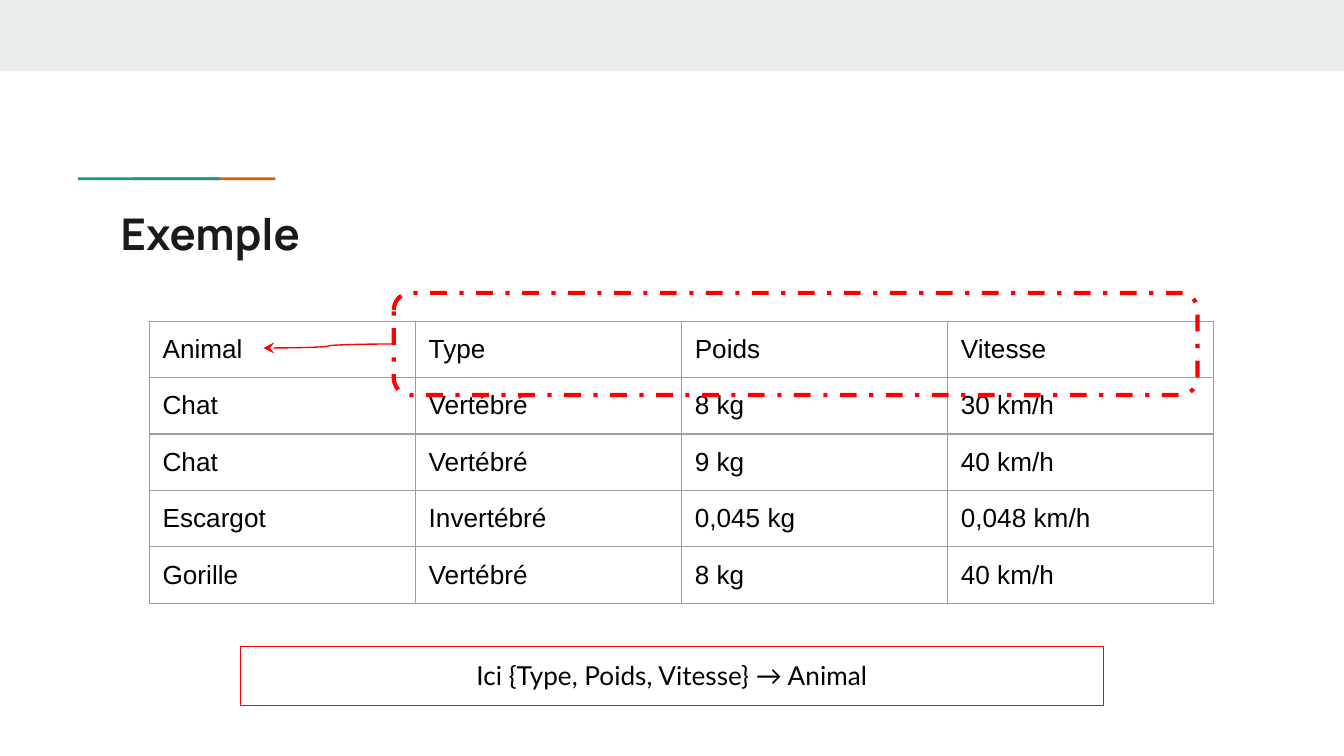
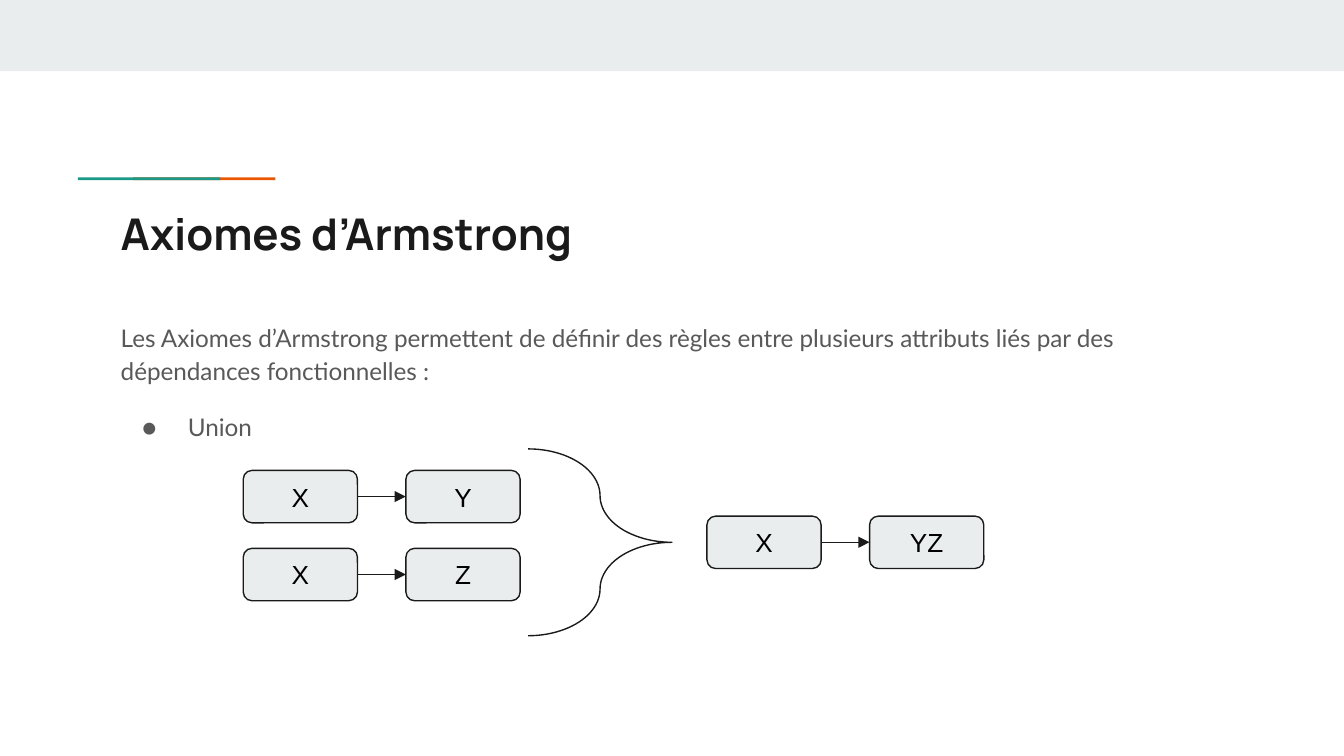
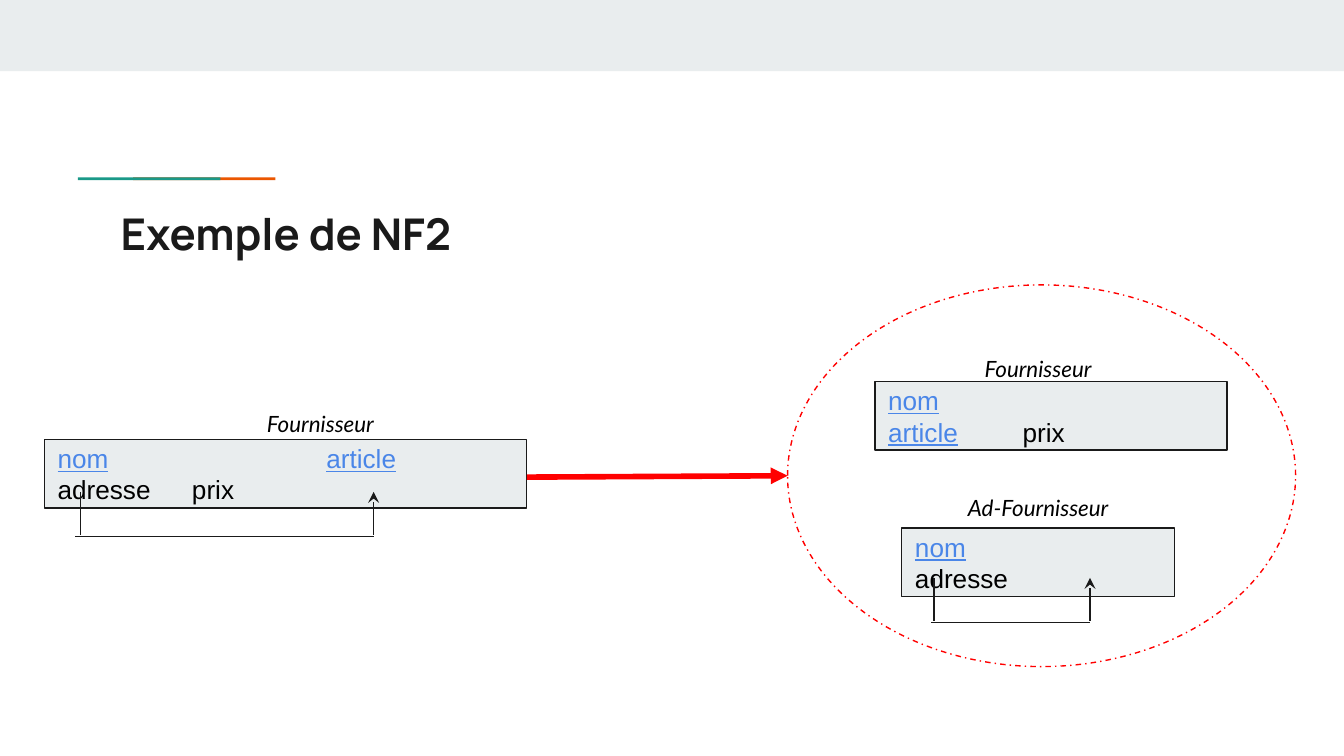
from lxml.etree import SubElement
from pptx import Presentation
from pptx.dml.color import RGBColor
from pptx.enum.dml import MSO_LINE
from pptx.enum.shapes import MSO_CONNECTOR, MSO_SHAPE
from pptx.enum.text import MSO_ANCHOR, PP_ALIGN
from pptx.oxml.ns import qn
from pptx.util import Inches, Pt

PALE, INK, GREY, RULE = "E9EDEE", "1A1A1A", "595959", "9E9E9E"
TEAL, ORANGE, RED, BLUE, BLACK = "1A9988", "EB5600", "FF0000", "4A86E8", "000000"


def color(code):
    return RGBColor.from_string(code)


def inch(*sizes):
    return [Inches(size) for size in sizes]


def pad(item, bottom=0.1):
    item.margin_left = item.margin_right = item.margin_top = Inches(0.1)
    item.margin_bottom = Inches(bottom)


class Deck:
    def __init__(self):
        self.file = Presentation()
        self.file.slide_width, self.file.slide_height = inch(10, 10 * 9 / 16)
        self.slide = None

    def page(self, title):
        self.slide = self.file.slides.add_slide(self.file.slide_layouts[6])
        self.shape((0, 0, 10, 0.53), fill=PALE, line=None)
        for left, fill in ((0.99, ORANGE), (0.58, TEAL)):
            self.shape((left, 1.32, 1.06, 0.02), fill=fill, line=None)
        self.text((0.8, 1.44, 8.41, 0.59), title, size=23.4, font="Manrope", tone=INK, bold=True)

    def run(self, para, words, size=14, font="Arial", tone=BLACK, **marks):
        run = para.add_run()
        run.text = words
        run.font.size, run.font.name = Pt(size), font
        run.font.color.rgb = color(tone)
        for mark, value in marks.items():
            setattr(run.font, mark, value)

    def frame(self, shape, middle=False):
        frame = shape.text_frame
        frame.word_wrap = True
        frame.vertical_anchor = MSO_ANCHOR.MIDDLE if middle else MSO_ANCHOR.TOP
        pad(frame)
        return frame

    def stroke(self, line, tone, width, dash):
        line.color.rgb = color(tone)
        line.width = Pt(width)
        if dash:
            line.dash_style = MSO_LINE.DASH_DOT

    def shape(self, box, kind=MSO_SHAPE.RECTANGLE, fill=None, line=INK, width=0.75, dash=False):
        shape = self.slide.shapes.add_shape(kind, *inch(*box))
        shape.shadow.inherit = False
        if fill:
            shape.fill.solid()
            shape.fill.fore_color.rgb = color(fill)
        else:
            shape.fill.background()
        if line:
            self.stroke(shape.line, line, width, dash)
        else:
            shape.line.fill.background()
        return shape

    def text(self, box, words, align=PP_ALIGN.LEFT, **style):
        frame = self.frame(self.slide.shapes.add_textbox(*inch(*box)))
        para = frame.paragraphs[0]
        para.alignment = align
        self.run(para, words, **style)
        return frame

    def label(self, shape, *runs, align=PP_ALIGN.CENTER, middle=True):
        para = self.frame(shape, middle).paragraphs[0]
        para.alignment = align
        para._p.get_or_add_pPr().set("defTabSz", str(Inches(1)))
        for words, style in runs:
            self.run(para, words, **style)

    def line(self, start, end, tip=None, tone=INK, width=0.75, kind=MSO_CONNECTOR.STRAIGHT):
        link = self.slide.shapes.add_connector(kind, *inch(*start, *end))
        self.stroke(link.line, tone, width, False)
        if tip:
            SubElement(link.line._get_or_add_ln(), qn("a:tailEnd"), type=tip)
        SubElement(link._element.spPr, qn("a:effectLst"))

    def bullet(self, frame, words, **style):
        para = frame.add_paragraph()
        para.space_before = Pt(12)
        props = para._p.get_or_add_pPr()
        props.set("marL", str(Inches(0.5)))
        props.set("indent", str(Inches(-0.34)))
        tint = SubElement(props, qn("a:buClr"))
        SubElement(tint, qn("a:srgbClr"), val=style["tone"])
        SubElement(props, qn("a:buSzPts"), val=str(style["size"] * 100))
        SubElement(props, qn("a:buFont"), typeface=style["font"])
        SubElement(props, qn("a:buChar"), char="●")
        self.run(para, words, **style)

    def table(self, box, high, rows):
        frame = self.slide.shapes.add_table(len(rows), len(rows[0]), *inch(*box))
        table = frame.table
        table.first_row = table.horz_banding = False
        for r, row in enumerate(rows):
            table.rows[r].height = Inches(high)
            for c, words in enumerate(row):
                cell = table.cell(r, c)
                pad(cell, 0.08)
                self.run(cell.text_frame.paragraphs[0], words)
                self.edge(cell)
                cell.fill.background()
        frame.height = Inches(box[3])

    def edge(self, cell):
        props = cell._tc.get_or_add_tcPr()
        for side in "LRTB":
            line = SubElement(props, qn(f"a:ln{side}"), w=str(Pt(0.75)))
            fill = SubElement(line, qn("a:solidFill"))
            SubElement(fill, qn("a:srgbClr"), val=RULE)

    def pair(self, left, top, first, second):
        wide, high, step = 0.85, 0.39, 1.21
        for i, words in enumerate((first, second)):
            box = (left + i * step, top, wide, high)
            self.label(self.shape(box, MSO_SHAPE.ROUNDED_RECTANGLE, PALE), (words, {}))
        mid = top + high / 2
        self.line((left + wide, mid), (left + step, mid), "triangle")

    def entity(self, box, name, spot, keys, rest):
        self.label(self.shape(box, fill=PALE), (keys, {"tone": BLUE, "underline": True}),
                   (rest, {}), align=PP_ALIGN.LEFT)
        self.text(spot, name, PP_ALIGN.CENTER, size=12, font="Lato", italic=True)

    def hook(self, edge, left, right, top, base):
        self.line((left, top), (left, base - 0.01))
        self.line((edge, base), (right, base))
        self.line((right, base - 0.01), (right, top), "stealth")


def sample(deck):
    deck.page("Exemple")
    deck.table((1.11, 2.39, 7.92, 2.17), 0.42, (
        ("Animal", "Type", "Poids", "Vitesse"),
        ("Chat", "Vertébré", "8 kg", "30 km/h"),
        ("Chat", "Vertébré", "9 kg", "40 km/h"),
        ("Escargot", "Invertébré", "0,045 kg", "0,048 km/h"),
        ("Gorille", "Vertébré", "8 kg", "40 km/h"),
    ))
    deck.shape((2.93, 2.18, 5.98, 0.76), MSO_SHAPE.ROUNDED_RECTANGLE,
               line=RED, width=2.25, dash=True)
    deck.line((2.93, 2.56), (1.96, 2.59), "stealth", RED, kind=MSO_CONNECTOR.CURVE)
    note = deck.shape((1.79, 4.81, 6.42, 0.44), line=RED)
    deck.label(note, ("Ici {Type, Poids, Vitesse} → Animal", {"font": "Lato"}), middle=False)


def axioms(deck):
    deck.page("Axiomes d’Armstrong")
    style = {"size": 13, "font": "Lato", "tone": GREY}
    body = deck.text((0.8, 2.27, 8.41, 2.47),
                     "Les Axiomes d’Armstrong permettent de définir des règles entre "
                     "plusieurs attributs liés par des dépendances fonctionnelles :", **style)
    deck.bullet(body, "Union", **style)
    for para in body.paragraphs:
        para.line_spacing = 1.15
    deck.pair(1.81, 3.5, "X", "Y")
    deck.pair(1.81, 4.08, "X", "Z")
    brace = deck.shape((3.93, 3.34, 1.07, 1.39), MSO_SHAPE.RIGHT_BRACE)
    brace.adjustments[0] = 0.5
    deck.pair(5.26, 3.84, "X", "YZ")


def normal(deck):
    deck.page("Exemple de NF2")
    deck.entity((0.33, 3.27, 3.59, 0.51), "Fournisseur", (1.82, 2.95, 1.13, 0.4),
                "nom\t\tarticle\t", "adresse\tprix")
    deck.hook(0.56, 0.6, 2.78, 3.66, 3.99)
    deck.entity((6.51, 2.84, 2.62, 0.51), "Fournisseur", (7.16, 2.54, 1.13, 0.4),
                "nom\t\tarticle", "\tprix")
    deck.entity((6.71, 3.93, 2.03, 0.51), "Ad-Fournisseur", (7.07, 3.58, 1.31, 0.4),
                "nom\t\t", "adresse")
    deck.hook(6.93, 6.95, 8.11, 4.3, 4.63)
    deck.line((3.92, 3.55), (5.86, 3.54), "triangle", RED, 3)
    deck.shape((5.86, 2.12, 3.78, 2.84), MSO_SHAPE.OVAL, line=RED, dash=True)


def main():
    deck = Deck()
    for build in (sample, axioms, normal):
        build(deck)
    deck.file.save("out.pptx")


if __name__ == "__main__":
    main()
